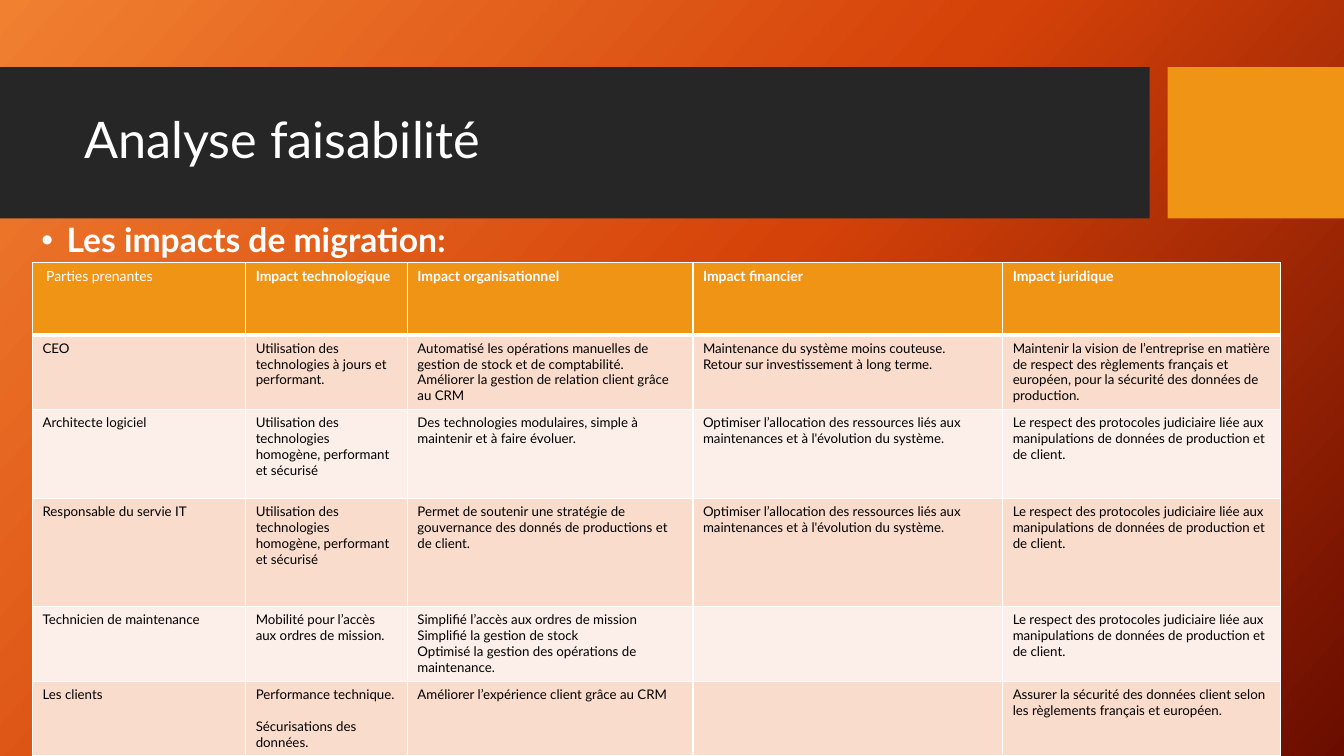
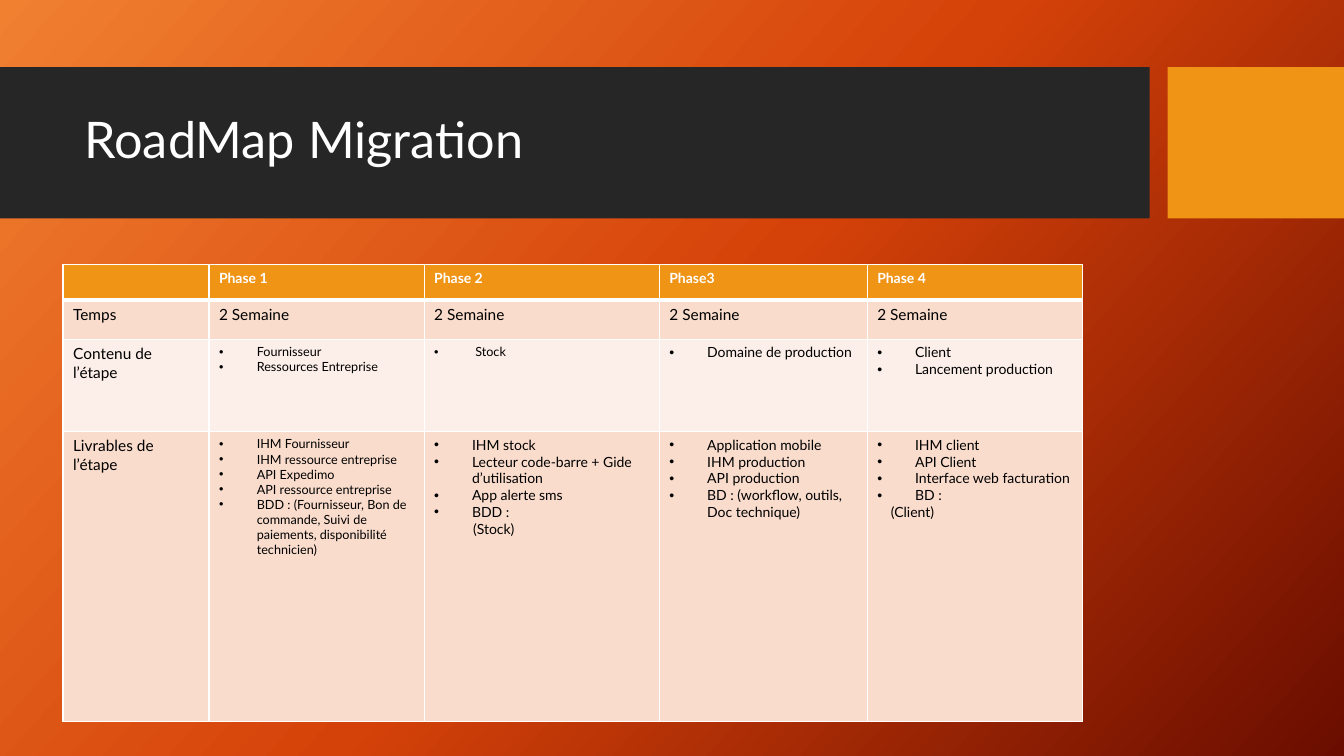
from copy import deepcopy
from dataclasses import dataclass

from lxml import etree
from pptx import Presentation
from pptx import util as u
from pptx.dml.color import RGBColor
from pptx.enum import shapes, text
from pptx.oxml.ns import qn

PX = 9525  # EMU in one px, 96 px to the inch
WIDTH, HEIGHT = 1280, 720
FONT = "Lato"
WHITE = RGBColor(0xFF, 0xFF, 0xFF)
BLACK = RGBColor(0x00, 0x00, 0x00)
CHARCOAL = RGBColor(0x26, 0x26, 0x26)
AMBER = RGBColor(0xF0, 0x94, 0x15)
PEACH = RGBColor(0xF9, 0xDC, 0xCC)
PALE_PEACH = RGBColor(0xFC, 0xEE, 0xE8)
GRADIENT = [(0, RGBColor(0xF1, 0x80, 0x31)),
            (0.5, RGBColor(0xD5, 0x42, 0x09)),
            (1, RGBColor(0x6A, 0x0D, 0x00))]
THIN, THICK = 1, 3


def px(length):
    return u.Emu(length * PX)


@dataclass
class Line:
    """One paragraph of a cell; None keeps the style of the cell's row."""
    text: str
    size: float | None = None
    bold: bool | None = None
    bullet: bool = False
    indent: int = 0
    before: float = 0


def bullets(size, *items):
    return [Line(item, size, bullet=True, indent=36) for item in items]


def write(para, words, *, size, color=WHITE, bold=False, bullet=False,
          indent=0, before=0, spacing=1.0):
    para.line_spacing = spacing
    para.space_before = u.Pt(before)
    props = para._p.get_or_add_pPr()
    props.set("marL", str(px(indent)))
    props.set("indent", str(px(-indent if bullet else 0)))
    if bullet:
        etree.SubElement(props, qn("a:buFont"), typeface="Arial")
        etree.SubElement(props, qn("a:buChar"), char="•")
    if not words:  # an empty cell must not fall back to a taller text size
        etree.SubElement(para._p, qn("a:endParaRPr"), sz=str(int(size * 100)))
        return
    span = para.add_run()
    span.text = words
    span.font.name = FONT
    span.font.size = u.Pt(size)
    span.font.bold = bold
    span.font.color.rgb = color


def set_borders(cell, **weights):
    """Draw white borders; the sides are L, R, T and B, in points."""
    props = cell._tc.get_or_add_tcPr()
    for place, side in enumerate("LRTB"):
        line = etree.Element(qn(f"a:ln{side}"),
                             w=str(u.Pt(weights.get(side, THIN))))
        fill = etree.SubElement(line, qn("a:solidFill"))
        etree.SubElement(fill, qn("a:srgbClr"), val=str(WHITE))
        props.insert(place, line)


class Deck:
    def __init__(self):
        self.deck = Presentation()
        self.deck.slide_width, self.deck.slide_height = px(WIDTH), px(HEIGHT)
        self.slide = None
        self.paint_background()

    def paint_background(self):
        master = self.deck.slide_master
        fill = master.background.fill
        fill.gradient()
        fill.gradient_angle = 360 - 42
        stop_list = next(master.element.iter(qn("a:gsLst")))
        stop_list.append(deepcopy(stop_list[-1]))
        for stop, (position, color) in zip(fill.gradient_stops, GRADIENT):
            stop.position = position
            stop.color.rgb = color

    def new_slide(self, title):
        self.slide = self.deck.slides.add_slide(self.deck.slide_layouts[6])
        self.block(0, 64, 1095, 144, CHARCOAL)
        self.block(1112, 64, 168, 144, AMBER)
        self.text(71, 79, 1009, 113, title, size=36,
                  anchor=text.MSO_ANCHOR.MIDDLE)

    def block(self, left, top, width, height, color):
        box = self.slide.shapes.add_shape(
            shapes.MSO_SHAPE.RECTANGLE, px(left), px(top), px(width), px(height))
        box.shadow.inherit = False
        box.fill.solid()
        box.fill.fore_color.rgb = color
        box.line.fill.background()

    def text(self, left, top, width, height, words,
             anchor=text.MSO_ANCHOR.TOP, **style):
        box = self.slide.shapes.add_textbox(
            px(left), px(top), px(width), px(height))
        frame = box.text_frame
        frame.word_wrap = True
        frame.vertical_anchor = anchor
        write(frame.paragraphs[0], words, spacing=0.9, **style)

    def table(self, left, top, widths, heights, rows, body_size):
        table = self.slide.shapes.add_table(
            len(rows), len(widths), px(left), px(top),
            px(sum(widths)), px(sum(heights))).table
        for column, width in zip(table.columns, widths):
            column.width = px(width)
        for row, height in zip(table.rows, heights):
            row.height = px(height)
        for r, row in enumerate(rows):
            for c, content in enumerate(row):
                self.fill_cell(table.cell(r, c), r, content, body_size)

    def fill_cell(self, cell, row, content, body_size):
        header = row == 0
        cell.fill.solid()
        cell.fill.fore_color.rgb = (
            AMBER if header else PEACH if row % 2 else PALE_PEACH)
        set_borders(cell, T=THICK if row == 1 else THIN,
                    B=THICK if header else THIN)
        frame = cell.text_frame
        lines = content if isinstance(content, list) else [content]
        for index, line in enumerate(lines):
            if isinstance(line, str):
                line = Line(line)
            para = frame.add_paragraph() if index else frame.paragraphs[0]
            write(para, line.text,
                  size=line.size or (10 if header else body_size),
                  color=WHITE if header else BLACK,
                  bold=header if line.bold is None else line.bold,
                  bullet=line.bullet, indent=line.indent, before=line.before)


SECURE_TECH = "Utilisation des technologies homogène, performant et sécurisé"
RESOURCES = ("Optimiser l’allocation des ressources liés aux maintenances "
             "et à l'évolution du système.")
PROTOCOLS = ("Le respect des protocoles judiciaire liée aux manipulations "
             "de données de production et de client.")

IMPACTS = [
    [Line(" Parties prenantes", bold=False), "Impact technologique",
     "Impact organisationnel", "Impact financier", "Impact juridique"],
    ["CEO",
     "Utilisation des technologies à jours et performant.",
     ["Automatisé les opérations manuelles de gestion de stock et de "
      "comptabilité.",
      "Améliorer la gestion de relation client grâce au CRM"],
     ["Maintenance du système moins couteuse.",
      "Retour sur investissement à long terme."],
     "Maintenir la vision de l’entreprise en matière de respect des "
     "règlements français et européen, pour la sécurité des données de "
     "production."],
    ["Architecte logiciel", SECURE_TECH,
     "Des technologies modulaires, simple à maintenir et à faire évoluer.",
     RESOURCES, PROTOCOLS],
    ["Responsable du servie IT", SECURE_TECH,
     "Permet de soutenir une stratégie de gouvernance des donnés de "
     "productions et de client.",
     RESOURCES, PROTOCOLS],
    ["Technicien de maintenance",
     "Mobilité pour l’accès aux ordres de mission.",
     ["Simplifié l’accès aux ordres de mission",
      "Simplifié la gestion de stock",
      "Optimisé la gestion des opérations de maintenance."],
     "", PROTOCOLS],
    ["Les clients",
     ["Performance technique.",
      Line("Sécurisations des données.", before=11.4)],
     "Améliorer l’expérience client grâce au CRM",
     "",
     "Assurer la sécurité des données client selon les règlements "
     "français et européen."],
]

ROADMAP = [
    ["", "Phase 1", "Phase 2", "Phase3", "Phase 4"],
    ["Temps"] + ["2 Semaine"] * 4,
    ["Contenu de l’étape",
     bullets(9, "Fournisseur", "Ressources Entreprise"),
     bullets(9, " Stock"),
     bullets(10, "Domaine de production"),
     bullets(10, "Client", "Lancement production")],
    ["Livrables de l’étape",
     bullets(9, "IHM Fournisseur", "IHM ressource entreprise",
             "API Expedimo", "API ressource entreprise",
             "BDD : (Fournisseur, Bon de commande, Suivi de paiements, "
             "disponibilité technicien)"),
     bullets(10, "IHM stock", "Lecteur code-barre + Gide d’utilisation",
             "App alerte sms", "BDD :") + [Line("(Stock)", 10, indent=37)],
     bullets(10, "Application mobile", "IHM production", "API production",
             "BD : (workflow, outils, Doc technique)"),
     bullets(10, "IHM client", "API Client", "Interface web facturation",
             "BD :") + [Line("(Client)", 10, indent=13)]],
]


def main():
    deck = Deck()

    deck.new_slide("Analyse faisabilité")
    deck.text(30, 208, 1239, 503, "Les impacts de migration:", size=24,
              bold=True, bullet=True, indent=24)
    deck.table(31, 250, [203, 154, 272, 295, 265],
               [69, 71, 85, 103, 71, 71], IMPACTS, body_size=9.5)

    deck.new_slide("RoadMap Migration")
    deck.table(60, 252, [139, 205, 224, 198, 205],
               [34, 37, 88, 276], ROADMAP, body_size=11)

    deck.deck.save("out.pptx")


if __name__ == "__main__":
    main()
